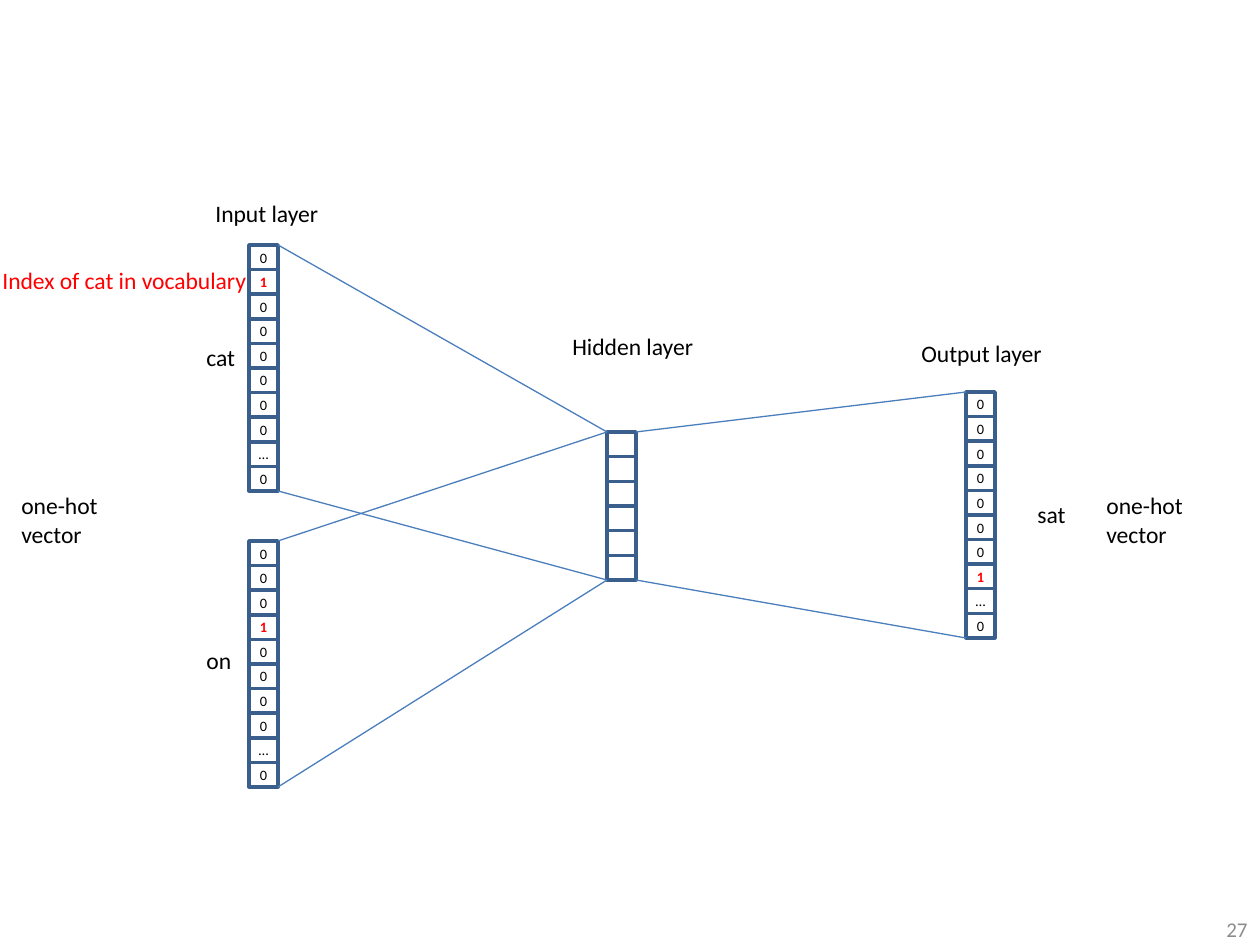
from dataclasses import dataclass

from lxml.etree import SubElement
from pptx import Presentation
from pptx.dml.color import RGBColor as Rgb
from pptx.enum.shapes import MSO_CONNECTOR as Connector, MSO_SHAPE as Shape
from pptx.enum.text import MSO_ANCHOR as Anchor, MSO_AUTO_SIZE as AutoSize, PP_ALIGN as Align
from pptx.oxml.ns import qn
from pptx.util import Emu, Pt

EMU_PER_PX = 914400 / 126
CELL_WIDTH = 29


@dataclass(frozen=True)
class Theme:
    font: str = "Calibri"
    text: Rgb = Rgb(0x00, 0x00, 0x00)
    accent: Rgb = Rgb(0xFF, 0x00, 0x00)
    muted: Rgb = Rgb(0x8C, 0x8C, 0x8C)
    cell_line: Rgb = Rgb(0x3A, 0x5F, 0x8C)
    link_line: Rgb = Rgb(0x4B, 0x7E, 0xBC)
    label_size: float = 13.5
    cell_size: float = 8.2
    number_size: float = 12
    cell_weight: float = 2
    link_weight: float = 0.75


THEME = Theme()


@dataclass(frozen=True)
class Column:
    left: int
    top: int
    height: int
    values: tuple

    @property
    def right(self):
        return self.left + CELL_WIDTH

    @property
    def bottom(self):
        return self.top + self.height


def px(length):
    return Emu(round(length * EMU_PER_PX))


def one_hot(index):
    """Ten cells: zeros, a single 1 and an ellipsis before the last."""
    return tuple("1" if row == index else "…" if row == 8 else "0" for row in range(10))


def write(frame, text, size, color, align=Align.LEFT, bold=False):
    frame.text = text
    for para in frame.paragraphs:
        para.alignment = align
        for span in para.runs:
            font = span.font
            font.name, font.size, font.bold = THEME.font, Pt(size), bold
            font.color.rgb = color


def add_label(page, left, top, width, height, text, color=THEME.text):
    box = page.shapes.add_textbox(px(left), px(top), px(width), px(height))
    box.text_frame.word_wrap = False
    box.text_frame.auto_size = AutoSize.SHAPE_TO_FIT_TEXT
    write(box.text_frame, text, THEME.label_size, color)


def add_page_number(page, text):
    box = page.shapes.add_textbox(px(966), px(914), px(294), px(31))
    box.text_frame.word_wrap = True
    box.text_frame.vertical_anchor = Anchor.MIDDLE
    write(box.text_frame, text, THEME.number_size, THEME.muted, Align.RIGHT)


def add_column(page, column):
    group = page.shapes.add_group_shape()
    pitch = column.height / len(column.values)
    for row, value in enumerate(column.values):
        cell = group.shapes.add_shape(
            Shape.RECTANGLE, px(column.left), px(column.top + row * pitch),
            px(CELL_WIDTH), px(pitch))
        cell.shadow.inherit = False
        cell.fill.background()
        cell.line.color.rgb = THEME.cell_line
        cell.line.width = Pt(THEME.cell_weight)
        if value:
            frame = cell.text_frame
            frame.margin_left = frame.margin_right = 0
            frame.margin_top = frame.margin_bottom = 0
            frame.word_wrap = False
            frame.vertical_anchor = Anchor.MIDDLE
            hot = value == "1"
            write(frame, value, THEME.cell_size, THEME.accent if hot else THEME.text,
                  Align.CENTER, hot)


def link_columns(page, source, target):
    """Join the tops and the bottoms of two neighbouring columns."""
    for start, end in ((source.top, target.top), (source.bottom, target.bottom)):
        link = page.shapes.add_connector(
            Connector.STRAIGHT, px(source.right), px(start), px(target.left), px(end))
        link.line.color.rgb = THEME.link_line
        link.line.width = Pt(THEME.link_weight)
        SubElement(link._element.spPr, qn("a:effectLst"))


def main():
    deck = Presentation()
    deck.slide_width, deck.slide_height = px(1260), px(945)
    page = deck.slides.add_slide(deck.slide_layouts[6])
    add_page_number(page, "27")

    # Layers of the network
    cat = Column(249, 245, 246, one_hot(1))
    on = Column(249, 541, 246, one_hot(3))
    hidden = Column(607, 432, 148, ("",) * 6)
    sat = Column(966, 392, 246, one_hot(7))
    for column in (cat, on, hidden, sat):
        add_column(page, column)
    for source, target in ((cat, hidden), (on, hidden), (hidden, sat)):
        link_columns(page, source, target)

    # Layer titles
    add_label(page, 203, 193, 130, 42, "Input layer")
    add_label(page, 560, 326, 149, 42, "Hidden layer")
    add_label(page, 909, 333, 147, 42, "Output layer")

    # Words and the vectors that stand for them
    add_label(page, 194, 337, 54, 42, "cat")
    add_label(page, 194, 640, 50, 42, "on")
    add_label(page, 1025, 494, 54, 42, "sat")
    for left in (9, 1094):
        add_label(page, left, 485, 103, 71, "one-hot\nvector")
    add_label(page, -10, 260, 273, 42, "Index of cat in vocabulary", THEME.accent)

    deck.save("out.pptx")


if __name__ == "__main__":
    main()
